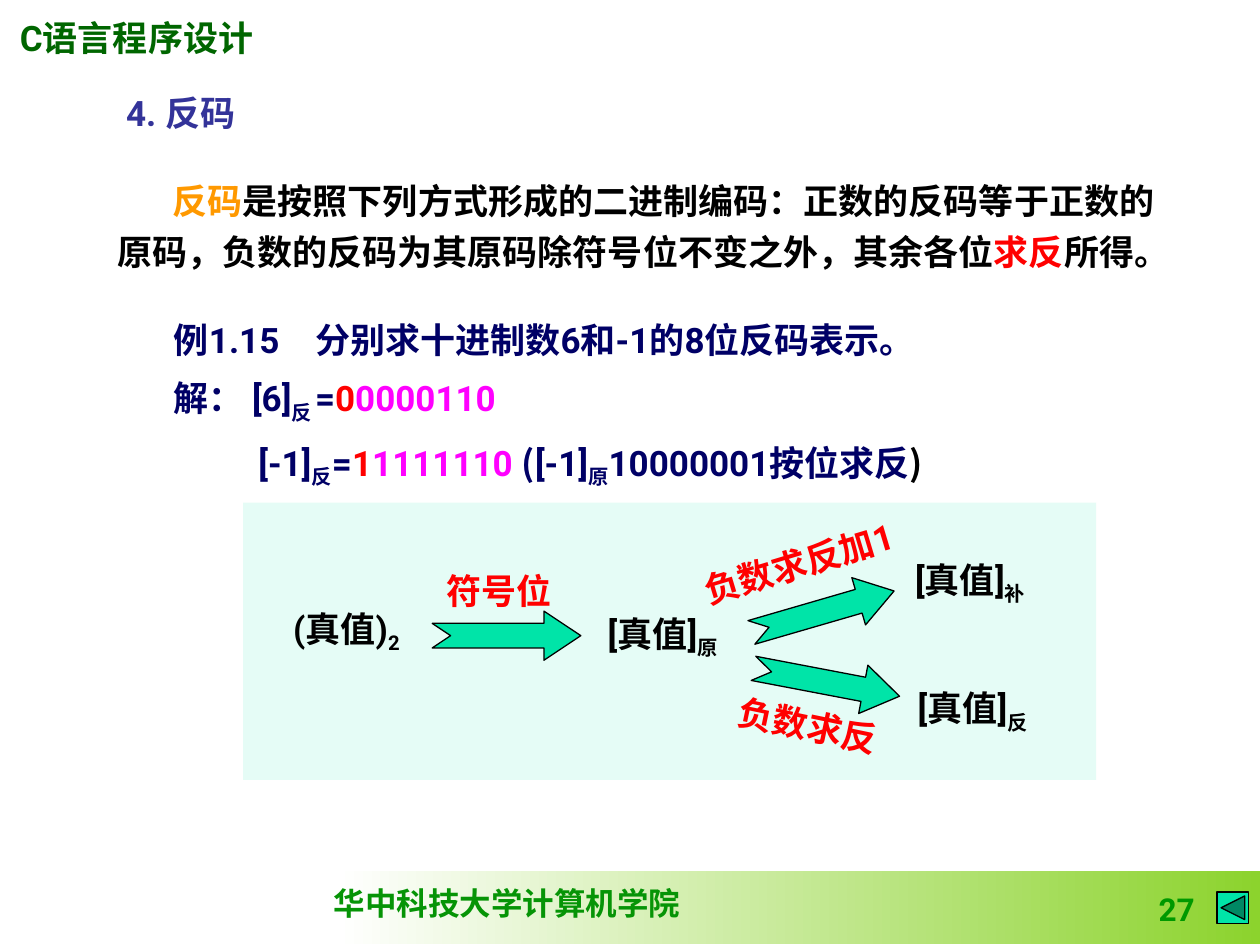
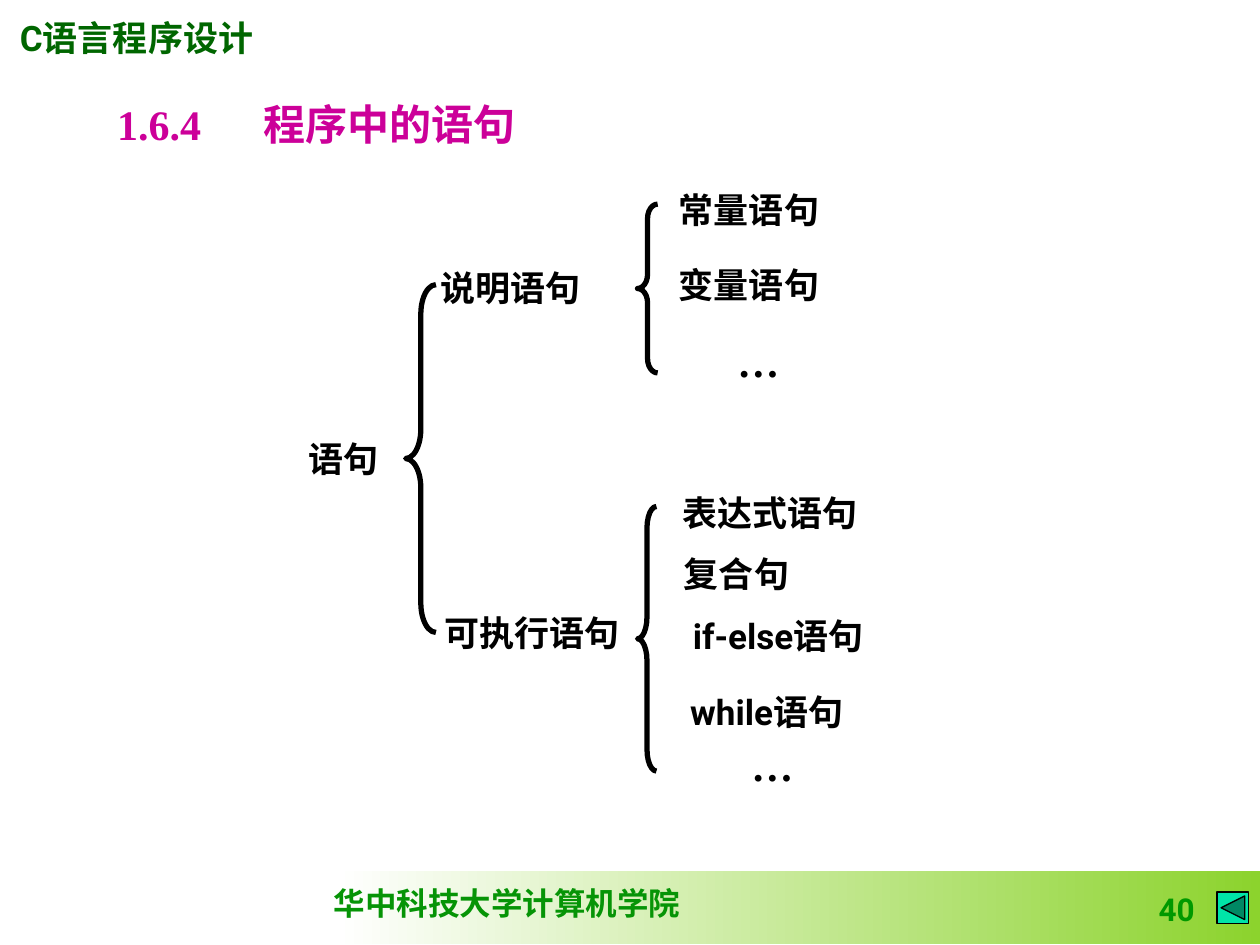
"""Build two slides of a C programming course: ones' complement and statement kinds."""
from dataclasses import dataclass

from lxml.etree import SubElement
from pptx import Presentation
from pptx.dml.color import RGBColor
from pptx.enum.shapes import MSO_SHAPE as Preset
from pptx.enum.text import MSO_ANCHOR as Anchor, MSO_AUTO_SIZE as AutoSize, PP_ALIGN as Align
from pptx.oxml.ns import qn
from pptx.util import Inches, Pt

WIDTH, HEIGHT = Inches(10), Inches(7.5)
COLUMNS, ROWS = 100, 75
LATIN, SERIF, CJK = "Roboto", "Times New Roman", "Noto Sans CJK SC"
BLACK, RED, NAVY, MAGENTA = "000000", "FF0000", "000066", "FF00FF"
MINT, ORANGE, INDIGO, PLUM = "00E4A8", "FF9900", "333399", "CC0099"
WHITE, LIME, FOOTER_GREEN, HEADER_GREEN, NUMBER_GREEN = "FFFFFF", "8CD32D", "069406", "006600", "009900"


@dataclass(frozen=True)
class Area:
    """A rectangle in grid columns and rows, with a rotation in degrees."""
    left: float
    top: float
    width: float
    height: float = 4.3
    turn: float = 0


@dataclass(frozen=True)
class Span:
    """A stretch of text with its own look."""
    text: str
    color: str = BLACK
    sub: bool = False
    font: str = LATIN


@dataclass(frozen=True)
class Line:
    """A paragraph with a first-line indent and tab stops in columns."""
    spans: tuple[Span, ...]
    indent: float = 0
    tabs: tuple[float, ...] = ()


@dataclass(frozen=True)
class Label:
    """A short centred text in the conversion diagram."""
    area: Area
    text: str
    sub: str = ""
    color: str = BLACK


@dataclass(frozen=True)
class Brace:
    """A left brace and its curl and tip adjustments."""
    area: Area
    curl: float
    tip: float = 0.5


DEFINITION = [Line((
    Span("反码", ORANGE),
    Span("是按照下列方式形成的二进制编码：正数的反码等于正数的原码，负数的反码为其原码除符号位不变之外，其余各位"),
    Span("求反", RED), Span("所得。")), indent=4.4)]

EXAMPLE = [
    Line((Span("例1.15\t分别求十进制数6和-1的8位反码表示。", NAVY),), 3.8, (15,)),
    Line((Span("解：\t[6]", NAVY), Span("反", NAVY, sub=True), Span("\t=", NAVY),
          Span("0", RED), Span("0000110", MAGENTA)), 3.8, (11.3, 18.2)),
    Line((Span("[-1]", NAVY), Span("反", NAVY, sub=True), Span("=", NAVY),
          Span("1", RED), Span("1111110 ", MAGENTA), Span("(", NAVY, font=CJK),
          Span("[-1]", NAVY), Span("原", NAVY, sub=True), Span("10000001按位求反", NAVY),
          Span(")", font=CJK)), 10.5),
]

CONVERSION_LABELS = [
    Label(Area(21.6, 47.7, 11.8), "(真值)", "2"),
    Label(Area(45.9, 48.1, 13.4), "[真值]", "原"),
    Label(Area(70.3, 43.8, 13.4), "[真值]", "补"),
    Label(Area(70.5, 54, 13.4), "[真值]", "反"),
    Label(Area(33.7, 44.7, 11.8), "符号位", color=RED),
    Label(Area(54, 42.5, 18.8, turn=343.2), "负数求反加1", color=RED),
    Label(Area(56.3, 55.4, 15.7, turn=11.8), "负数求反", color=RED),
]
CONVERSION_ARROWS = [
    Area(34.3, 48.5, 11.8, 3.9),
    Area(59.4, 46.6, 11.8, 3.9, 343.8),
    Area(59.7, 52.2, 11.8, 3.9, 10.8),
]

STATEMENTS = [
    ("语句", 23.5, 33.9),
    ("说明语句", 34, 20.3), ("可执行语句", 34.3, 47.7),
    ("常量语句", 52.9, 14.1), ("变量语句", 52.9, 20.1),
    ("表达式语句", 53.2, 38.2), ("复合句", 53.3, 43),
    ("if-else语句", 54, 47.9), ("while语句", 53.8, 54),
]
ELLIPSES = [(53.3, 26.1), (54.4, 58.2)]
BRACES = [
    Brace(Area(50.6, 16.2, 1.6, 13.4), 0.71),
    Brace(Area(50.6, 40.2, 1.5, 21), 1.14),
    Brace(Area(32.2, 22.6, 2.4, 27.6), 0.97),
]


def rgb(value: str) -> RGBColor:
    """Turn a hex string into a colour."""
    return RGBColor.from_string(value)


def col(count: float) -> int:
    """Return the length of a number of grid columns."""
    return round(WIDTH * count / COLUMNS)


def row(count: float) -> int:
    """Return the length of a number of grid rows."""
    return round(HEIGHT * count / ROWS)


def bounds(area: Area) -> tuple[int, int, int, int]:
    """Return left, top, width and height of an area."""
    return col(area.left), row(area.top), col(area.width), row(area.height)


def write(para, text: str, *, size: float = 20, color: str = BLACK, font: str = LATIN,
          bold: bool = True, sub: bool = False) -> None:
    """Add formatted text to a paragraph."""
    span = para.add_run()
    span.text = text
    span.font.size, span.font.bold, span.font.name = Pt(size), bold, font
    span.font.color.rgb = rgb(color)
    props = span._r.get_or_add_rPr()
    SubElement(props, qn("a:ea"), typeface=CJK)
    if sub:
        props.set("baseline", "-25000")


def prepare(box, area: Area, align=Align.LEFT, anchor=Anchor.TOP):
    """Place a text holder and return its first paragraph."""
    box.left, box.top, box.width, box.height = bounds(area)
    box.rotation = area.turn
    frame = box.text_frame
    frame.word_wrap, frame.auto_size, frame.vertical_anchor = True, AutoSize.NONE, anchor
    para = frame.paragraphs[0]
    para.alignment = align
    return para


def add_text(page, area: Area, align=Align.LEFT, anchor=Anchor.TOP):
    """Add a text box and return its first paragraph."""
    return prepare(page.shapes.add_textbox(*bounds(area)), area, align, anchor)


def set_tabs(para, stops: tuple[float, ...]) -> None:
    """Give a paragraph left tab stops."""
    holder = SubElement(para._p.get_or_add_pPr(), qn("a:tabLst"))
    for stop in stops:
        SubElement(holder, qn("a:tab"), pos=str(col(stop)), algn="l")


def fill_body(box, area: Area, lines: list[Line], anchor=Anchor.TOP) -> None:
    """Write unbulleted lines into a body placeholder."""
    para = prepare(box, area, anchor=anchor)
    for index, line in enumerate(lines):
        if index:
            para = box.text_frame.add_paragraph()
        para.line_spacing, para.space_before = 1.2, Pt(4)
        props = para._p.get_or_add_pPr()
        props.set("marL", "0")
        props.set("indent", str(col(line.indent)))
        SubElement(props, qn("a:buNone"))
        if line.tabs:
            set_tabs(para, line.tabs)
        for span in line.spans:
            write(para, span.text, color=span.color, sub=span.sub, font=span.font)


def add_preset(page, preset, area: Area, fill: str | None = None, weight: float = 0,
               adjust: tuple[float, ...] = ()):
    """Add a preset shape with an optional fill and black outline."""
    shape = page.shapes.add_shape(preset, *bounds(area))
    shape.shadow.inherit = False
    shape.rotation = area.turn
    for index, value in enumerate(adjust):
        shape.adjustments[index] = value
    if fill:
        shape.fill.solid()
        shape.fill.fore_color.rgb = rgb(fill)
    else:
        shape.fill.background()
    if weight:
        shape.line.color.rgb = rgb(BLACK)
        shape.line.width = Pt(weight)
    else:
        shape.line.fill.background()
    return shape


def add_frame(page, number: int) -> None:
    """Draw the course name, footer band, page number and back button."""
    band = add_preset(page, Preset.RECTANGLE, Area(26.7, 69.1, 73.3, 5.8))
    band.fill.gradient()
    band.fill.gradient_angle = 0
    for stop, color in zip(band.fill.gradient_stops, (WHITE, LIME)):
        stop.color.rgb = rgb(color)
    write(add_text(page, Area(25.5, 69.7, 32, 4)), "华中科技大学计算机学院",
          size=18, font=SERIF, color=FOOTER_GREEN)
    course = add_text(page, Area(0.6, 0.8, 20.5, 7.6))
    write(course, "C", color=HEADER_GREEN)
    write(course, "语言程序设计", color=HEADER_GREEN, font=SERIF)
    write(add_text(page, Area(75, 69.5, 20.8, 4.6), Align.RIGHT, Anchor.BOTTOM),
          str(number), size=18, color=NUMBER_GREEN)
    add_preset(page, Preset.ACTION_BUTTON_BACK_OR_PREVIOUS,
               Area(96.6, 70.8, 2.5, 2.5), MINT, 0.75)


def build_complement(deck) -> None:
    """Build the slide on ones' complement."""
    page = deck.slides.add_slide(deck.slide_layouts.get_by_name("Two Content"))
    add_frame(page, 27)
    title, definition, example = page.placeholders
    write(prepare(title, Area(9, 6.8, 39.4)), "4. 反码", color=INDIGO)
    fill_body(definition, Area(8.3, 11.1, 85.8, 13), DEFINITION, Anchor.MIDDLE)
    fill_body(example, Area(9, 24.1, 83.5, 14.3), EXAMPLE)
    panel = add_preset(page, Preset.RECTANGLE, Area(19.3, 39.9, 67.7, 22), MINT)
    tint = panel._element.spPr.find(qn("a:solidFill"))[0]
    SubElement(tint, qn("a:alpha"), val="10000")
    for area in CONVERSION_ARROWS:
        add_preset(page, Preset.NOTCHED_RIGHT_ARROW, area, MINT, 0.75, (0.5, 0.75))
    for label in CONVERSION_LABELS:
        para = add_text(page, label.area, Align.CENTER)
        write(para, label.text, color=label.color)
        if label.sub:
            write(para, label.sub, color=label.color, sub=True)


def build_statements(deck) -> None:
    """Build the slide that sorts the kinds of statement."""
    page = deck.slides.add_slide(deck.slide_layouts.get_by_name("Title Only"))
    add_frame(page, 40)
    heading = prepare(page.shapes.title, Area(8.3, 7.3, 55.1, 5))
    set_tabs(heading, (11.6,))
    write(heading, "1.6.4\t程序中的语句", size=24, font=SERIF, color=PLUM)
    for text, left, top in STATEMENTS:
        write(add_text(page, Area(left, top, 20, 5), anchor=Anchor.MIDDLE), text)
    for left, top in ELLIPSES:
        dots = add_text(page, Area(left, top, 13.8, 5), Align.CENTER, Anchor.MIDDLE)
        write(dots, "…", size=24, font=SERIF)
    for brace in BRACES:
        add_preset(page, Preset.LEFT_BRACE, brace.area, weight=3, adjust=(brace.curl, brace.tip))


def main() -> None:
    """Build and save the deck."""
    deck = Presentation()
    deck.slide_width, deck.slide_height = WIDTH, HEIGHT
    build_complement(deck)
    build_statements(deck)
    deck.save("out.pptx")


if __name__ == "__main__":
    main()
